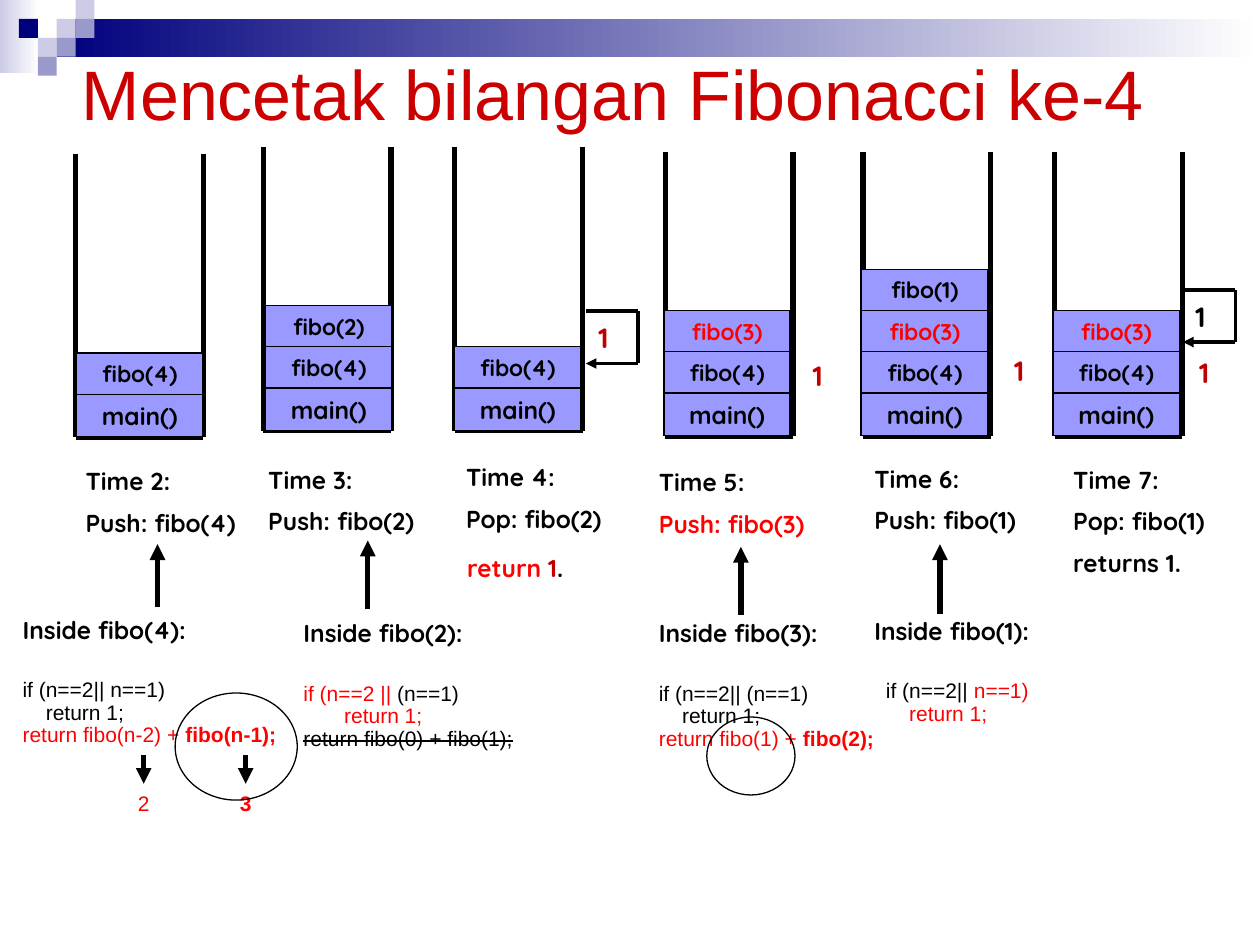
from lxml import etree
from pptx import Presentation
from pptx.dml.color import RGBColor
from pptx.enum.shapes import MSO_CONNECTOR, MSO_SHAPE
from pptx.enum.text import MSO_ANCHOR, MSO_AUTO_SIZE, PP_ALIGN
from pptx.oxml.ns import qn
from pptx.util import Pt

RECT, OVAL = MSO_SHAPE.RECTANGLE, MSO_SHAPE.OVAL
STRAIGHT = MSO_CONNECTOR.STRAIGHT
LEFT, CENTER = PP_ALIGN.LEFT, PP_ALIGN.CENTER
MIDDLE = MSO_ANCHOR.MIDDLE
NO_FIT = MSO_AUTO_SIZE.NONE

BLACK, RED, DARK_RED = "000000", "FF0000", "C00000"
NAVY, LILAC, PALE, WHITE = "00007D", "9999CC", "CCCCE6", "FFFFFF"
STACK_W, STACK_H, MAIN_H, CALL_H = 73, 162, 24.5, 23.6


def color(hex_string):
    return RGBColor.from_string(hex_string)


def add_run(p, text, size=14, c=BLACK, bold=True, font="Quicksand", strike=False):
    r = p.add_run()
    r.text = text
    r.font.name, r.font.size, r.font.bold = font, Pt(size), bold
    r.font.color.rgb = color(c)
    if strike:
        r.font._element.set("strike", "sngStrike")


def add_box(s, x, y, w, h):
    tf = s.shapes.add_textbox(Pt(x), Pt(y), Pt(w), Pt(h)).text_frame
    tf.word_wrap = True
    return tf


def add_shape(s, kind, x, y, w, h, fill=None, line=None):
    sp = s.shapes.add_shape(kind, Pt(x), Pt(y), Pt(w), Pt(h))
    sp.shadow.inherit = False
    if fill:
        sp.fill.solid()
        sp.fill.fore_color.rgb = color(fill)
    else:
        sp.fill.background()
    if line:
        sp.line.color.rgb = color(line)
        sp.line.width = Pt(0.75)
    else:
        sp.line.fill.background()
    return sp


def add_line(s, x1, y1, x2, y2, width=3, arrow=False):
    line = s.shapes.add_connector(STRAIGHT, Pt(x1), Pt(y1), Pt(x2), Pt(y2))
    line.line.color.rgb = color(BLACK)
    line.line.width = Pt(width)
    if arrow:
        etree.SubElement(line.line._get_or_add_ln(), qn("a:tailEnd"), type="triangle")
    etree.SubElement(line._element.spPr, qn("a:effectLst"))


def add_banner(s):
    # Fading bars
    for x, y, w, h, start in [(0, 0, 22.3, 41.8, PALE), (32.4, 10.8, 687.6, 21.6, NAVY)]:
        sp = add_shape(s, RECT, x, y, w, h, start)
        sp.fill.gradient()
        sp.fill.gradient_angle = 0
        for stop, c in zip(sp.fill.gradient_stops, (start, WHITE)):
            stop.color.rgb = color(c)
    # Mosaic squares: column, row, colour
    for col, row, c in [(2, 1, PALE), (3, 0, PALE), (3, 1, LILAC), (1, 2, PALE),
                        (0, 1, NAVY), (2, 2, LILAC), (1, 3, LILAC)]:
        add_shape(s, RECT, 10.8 + 10.8 * col, 10.8 * row, 10.8, 10.8, c)


def add_title(s, text, x, y, w, h):
    title = s.shapes.title
    title.left, title.top, title.width, title.height = Pt(x), Pt(y), Pt(w), Pt(h)
    tf = title.text_frame
    tf.auto_size = NO_FIT
    tf.vertical_anchor = MIDDLE
    p = tf.paragraphs[0]
    p.alignment = LEFT
    add_run(p, text, 40, "CC0000", False, "Arial")


def add_stack(s, x, y, calls, shift):
    # Walls and floor
    right, floor = x + STACK_W, y + STACK_H
    add_line(s, x, y, x, floor)
    add_line(s, x, floor, right, floor)
    add_line(s, right, floor, right, y)
    # Calls, piled up from the floor
    top = floor
    for i, call in enumerate(["main()"] + calls):
        h = CALL_H if i else MAIN_H
        top -= h
        sp = add_shape(s, RECT, x + shift, top, 72, h, "9999FF", BLACK)
        tf = sp.text_frame
        tf.vertical_anchor = MIDDLE
        p = tf.paragraphs[0]
        p.alignment = CENTER
        add_run(p, call, 13 if i else 14, RED if call == "fibo(3)" else BLACK)


def add_caption(s, x, y, w, lines):
    tf = add_box(s, x, y, w, 8 + 24 * len(lines))
    for i, (text, c) in enumerate(lines):
        p = tf.paragraphs[0]
        if i:
            p = tf.add_paragraph()
            p.space_before = Pt(7)
        add_run(p, text, c=c)


def add_code(s, x, y, w, heading, lines):
    tf = add_box(s, x, y, w, 30 + 20 + 13 * len(lines))
    add_run(tf.paragraphs[0], heading)
    for i, line in enumerate(lines):
        p = tf.add_paragraph()
        p.line_spacing = 0.9
        p.space_before = Pt(0 if i else 20)
        for text, c, *flags in line:
            add_run(p, text, 12, c, "bold" in flags, "Arial", "strike" in flags)


def add_value(s, x, y, c=DARK_RED):
    add_run(add_box(s, x, y, 23, 26.6).paragraphs[0], "1", 16, c)


def add_return_loop(s, x, y, c, size=29.9):
    add_line(s, x, y, x + size, y, 2)
    add_line(s, x + size, y, x + size, y + size, 2)
    add_line(s, x + size, y + size, x, y + size, 2, True)
    add_value(s, x, y + 1.8, c)


def add_result(s, x, y, text, bold):
    add_line(s, x, y, x, y + 16.6, arrow=True)
    p = add_box(s, x - 15, y + 17, 30, 21).paragraphs[0]
    p.alignment = CENTER
    add_run(p, text, 12, RED, bold, "Arial")


# x, y, calls above main(), sideways shift of the calls
STACKS = [
    (43.2, 87.8, ["fibo(4)"], 0.7),
    (150.5, 84.2, ["fibo(4)", "fibo(2)"], 1.4),
    (259.9, 84.2, ["fibo(4)"], 0),
    (380.2, 87.1, ["fibo(4)", "fibo(3)"], -0.7),
    (493.2, 87.1, ["fibo(4)", "fibo(3)", "fibo(1)"], -0.7),
    (602.6, 87.1, ["fibo(4)", "fibo(3)"], -0.7),
]
# x, y, width, lines
CAPTIONS = [
    (41.8, 262.8, 116, [("Time 2:", BLACK), ("Push: fibo(4)", BLACK)]),
    (146.2, 262.1, 113, [("Time 3:", BLACK), ("Push: fibo(2)", BLACK)]),
    (259.2, 260.6, 110, [("Time 4:", BLACK), ("Pop: fibo(2)", BLACK)]),
    (369.4, 263.5, 120, [("Time 5:", BLACK), ("Push: fibo(3)", RED)]),
    (492.5, 261.4, 104, [("Time 6:", BLACK), ("Push: fibo(1)", BLACK)]),
    (606.2, 262.1, 93, [("Time 7:", BLACK), ("Pop: fibo(1)", BLACK), ("returns 1.", BLACK)]),
]
# x, y, width, heading, lines of runs
CODES = [
    (5.8, 347.8, 204, "Inside fibo(4):", [
        [("if (n==2|| n==1)", BLACK)], [("    return 1;", BLACK)],
        [("return fibo(n-2) + ", RED), ("fibo(n-1);", RED, "bold")]]),
    (166.3, 349.9, 204, "Inside fibo(2):", [
        [("if (n==2 || ", RED), ("(n==1)", BLACK)], [("       return 1;", RED)],
        [("return fibo(0) + fibo(1);", BLACK, "strike")]]),
    (369.4, 349.9, 139, "Inside fibo(3):", [
        [("if (n==2|| (n==1)", BLACK)], [("    return 1;", BLACK)],
        [("return fibo(1) + ", RED), ("fibo(2);", RED, "bold")]]),
    (492.5, 348.5, 104, "Inside fibo(1):", [
        [("  if (n==2|| ", BLACK), ("n==1)", RED)], [("      return 1;", RED)]]),
]
# x, bottom, top
PUSH_ARROWS = [(90, 347, 311), (210.2, 347.8, 308.9), (423.4, 351.4, 312.5), (537.1, 350.6, 311)]


def main():
    prs = Presentation()
    prs.slide_width, prs.slide_height = Pt(720), Pt(540)
    s = prs.slides.add_slide(prs.slide_layouts[5])
    add_banner(s)
    add_title(s, "Mencetak bilangan Fibonacci ke-4", 39.6, 27.4, 648, 50.4)
    for stack in STACKS:
        add_stack(s, *stack)
    for caption in CAPTIONS:
        add_caption(s, *caption)
    for code in CODES:
        add_code(s, *code)
    for x, bottom, top in PUSH_ARROWS:
        add_line(s, x, bottom, x, top, arrow=True)

    # Returned values
    add_return_loop(s, 334.8, 177.8, DARK_RED)
    add_return_loop(s, 676, 165.6, BLACK)
    for x, y in [(457.2, 201.6), (572.4, 198.7), (678.2, 199.4)]:
        add_value(s, x, y)
    p = add_box(s, 259.9, 312.5, 110, 26).paragraphs[0]
    for text, c in [("return ", RED), ("1", DARK_RED), (".", BLACK)]:
        add_run(p, text, c=c)

    # Pending calls
    add_result(s, 82.1, 431.3, "2", False)
    add_result(s, 140.4, 431.3, "3", True)
    add_shape(s, OVAL, 100.1, 396, 69.8, 61.2, line=BLACK)
    add_shape(s, OVAL, 403.9, 409.7, 50.4, 44.6, line=BLACK)
    prs.save("out.pptx")


if __name__ == "__main__":
    main()
